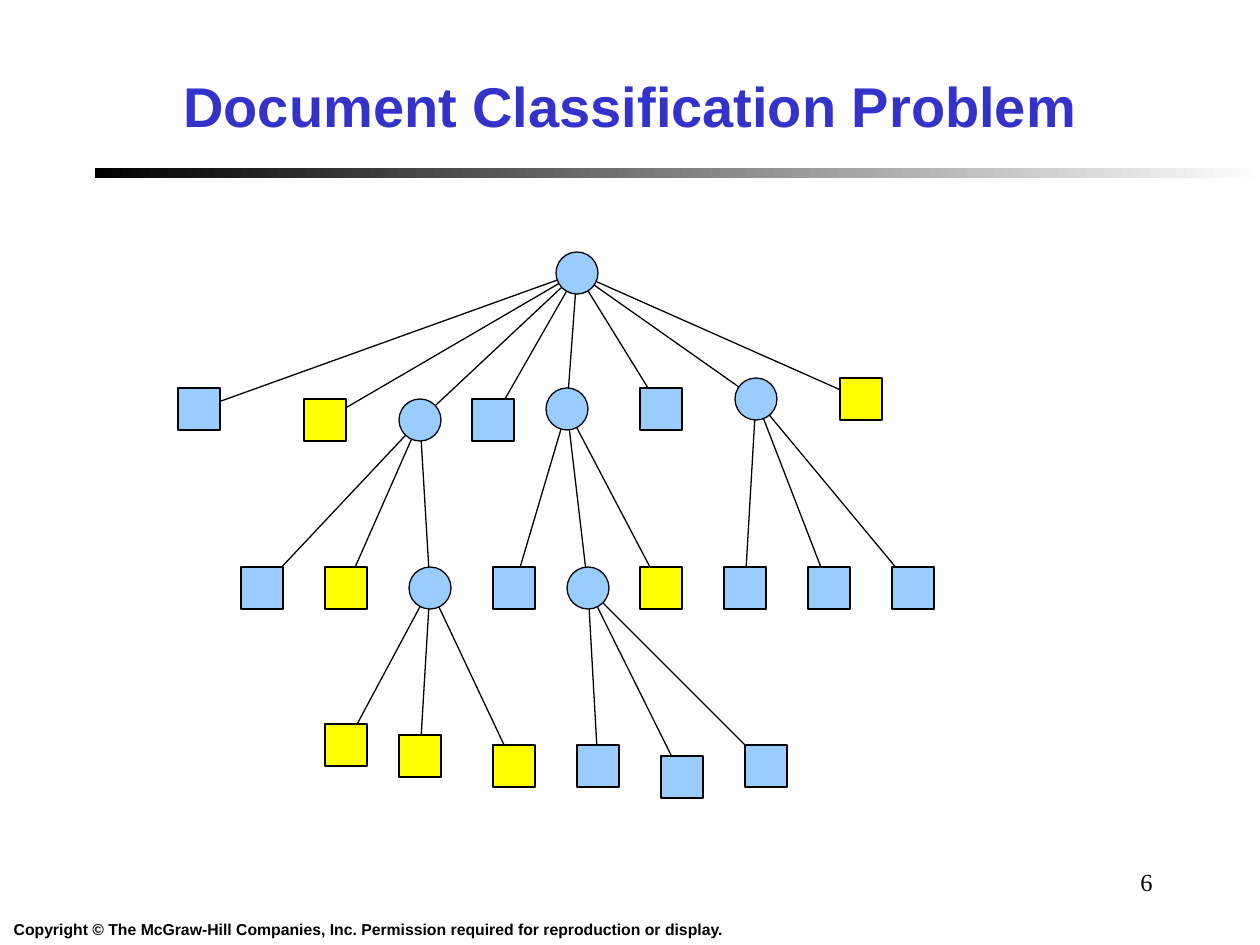
import pptx
import pptx.dml.color
import pptx.enum.dml
import pptx.enum.shapes
import pptx.enum.text
import pptx.oxml.ns
import pptx.util
from lxml import etree

PX = 914400 // 126
SIDE = 42
HUES = {"blue": "99CCFF", "gold": "FFFF00", "ink": "000000",
        "pale": "FEFEFE", "head": "3333CC"}

# Tree: (name, parent, centre x, centre y, fill); nodes with children are circles
NODES = [
    ("root", None, 577, 273, "blue"),
    ("a", "root", 199, 409, "blue"),
    ("b", "root", 325, 420, "gold"),
    ("c", "root", 420, 420, "blue"),
    ("d", "root", 493, 420, "blue"),
    ("e", "root", 567, 409, "blue"),
    ("f", "root", 661, 409, "blue"),
    ("g", "root", 756, 399, "blue"),
    ("h", "root", 861, 399, "gold"),
    ("c1", "c", 262, 588, "blue"),
    ("c2", "c", 346, 588, "gold"),
    ("c3", "c", 430, 588, "blue"),
    ("e1", "e", 514, 588, "blue"),
    ("e2", "e", 588, 588, "blue"),
    ("e3", "e", 661, 588, "gold"),
    ("g1", "g", 745, 588, "blue"),
    ("g2", "g", 829, 588, "blue"),
    ("g3", "g", 913, 588, "blue"),
    ("c31", "c3", 346, 745, "gold"),
    ("c32", "c3", 420, 756, "gold"),
    ("c33", "c3", 514, 766, "gold"),
    ("e21", "e2", 598, 766, "blue"),
    ("e22", "e2", 682, 777, "blue"),
    ("e23", "e2", 766, 766, "blue"),
]

ALIGN = pptx.enum.text.PP_ALIGN
ANCHOR = pptx.enum.text.MSO_ANCHOR
# Texts: (text, box, wrap, anchor, align, colour, font values)
TEXTS = [
    ("Document Classification Problem", (32, 42, 1197, 126), True,
     ANCHOR.MIDDLE, ALIGN.CENTER, "head",
     {"name": "Arial", "size": pptx.util.Pt(32), "bold": True}),
    ("Copyright © The McGraw-Hill Companies, Inc. "
     "Permission required for reproduction or display.",
     (0, 914, 736, 31), False, ANCHOR.TOP, ALIGN.CENTER, "ink",
     {"name": "Arial", "size": pptx.util.Pt(9), "bold": True}),
    ("6", (903, 861, 262, 63), True, ANCHOR.TOP, ALIGN.RIGHT, "ink",
     {"name": "Times New Roman", "size": pptx.util.Pt(14)}),
]


def hue(name):
    return pptx.dml.color.RGBColor.from_string(HUES[name])


def emu(*vals):
    return [v * PX for v in vals]


def ink(line):
    line.color.rgb = hue("ink")
    line.width = pptx.util.Pt(0.75)


deck = pptx.Presentation()
deck.slide_width, deck.slide_height = emu(1260, 945)
slide = deck.slides.add_slide(deck.slide_layouts[6])
shapes = slide.shapes
KIND = pptx.enum.shapes.MSO_SHAPE

# Fading rule under the title
bar = shapes.add_shape(KIND.RECTANGLE, *emu(95, 168, 1165, 10))
bar.shadow.inherit = False
bar.line.fill.background()
bar.fill.gradient()
bar.fill.gradient_angle = 0
for stop, name, spot in zip(bar.fill.gradient_stops, ("ink", "pale"), (0, 1)):
    stop.color.rgb = hue(name)
    stop.position = spot

# Title, copyright line and page number
for text, box, wrap, anchor, align, tint, form in TEXTS:
    frame = shapes.add_textbox(*emu(*box)).text_frame
    frame.word_wrap = wrap
    frame.vertical_anchor = anchor
    para = frame.paragraphs[0]
    para.alignment = align
    run = para.add_run()
    run.text = text
    run.font.color.rgb = hue(tint)
    for key, val in form.items():
        setattr(run.font, key, val)

# Edges, from centre to centre, behind the nodes
spots = {name: (x, y) for name, _, x, y, _ in NODES}
inner = {node[1] for node in NODES}
for name, parent, x, y, _ in NODES:
    if parent:
        edge = shapes.add_connector(pptx.enum.shapes.MSO_CONNECTOR.STRAIGHT,
                                    *emu(*spots[parent], x, y))
        ink(edge.line)
        etree.SubElement(edge._element.spPr, pptx.oxml.ns.qn("a:effectLst"))

# Nodes
for name, _, x, y, tint in NODES:
    kind = KIND.OVAL if name in inner else KIND.RECTANGLE
    node = shapes.add_shape(
        kind, *emu(x - SIDE // 2, y - SIDE // 2, SIDE, SIDE))
    node.shadow.inherit = False
    node.fill.solid()
    node.fill.fore_color.rgb = hue(tint)
    ink(node.line)

deck.save("out.pptx")
